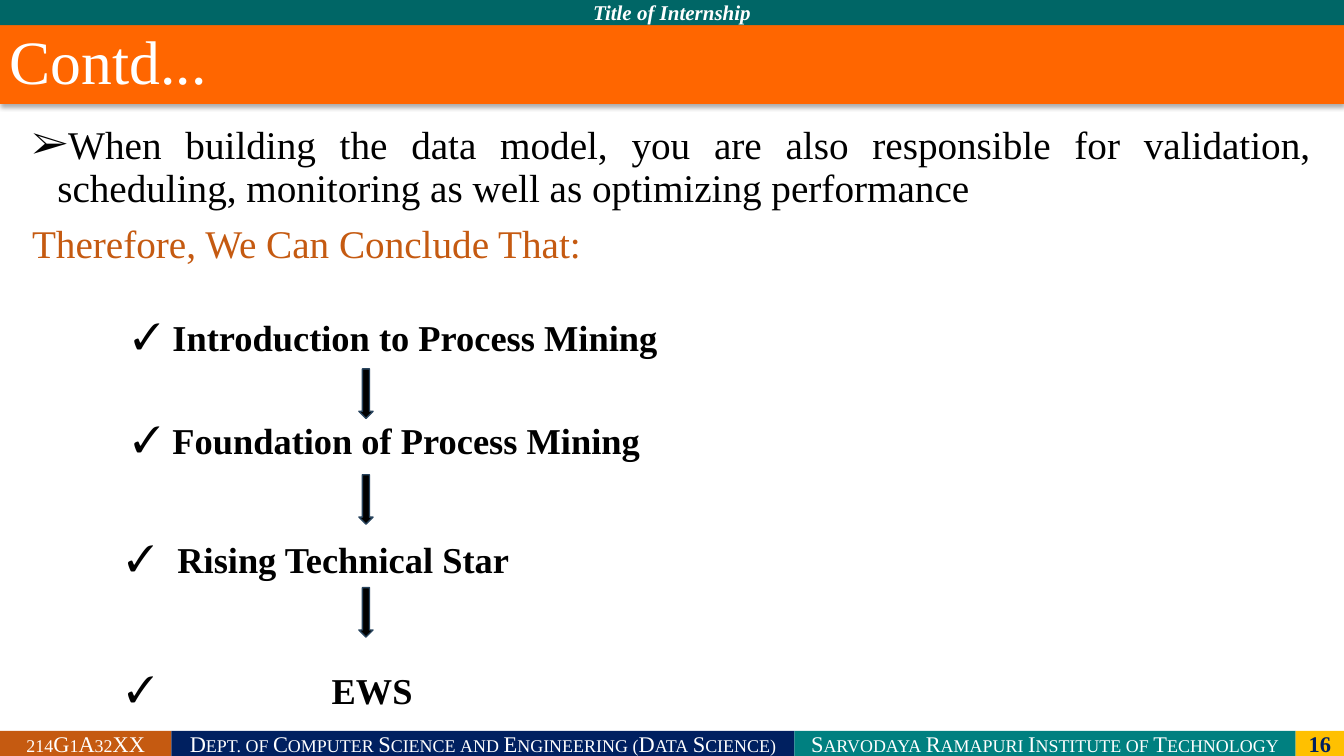
"""Build the concluding slide of an internship deck."""
from lxml.etree import SubElement as Sub
from pptx import Presentation
from pptx.dml.color import RGBColor as Rgb
from pptx.enum.shapes import MSO_SHAPE as Kind
from pptx.enum.text import MSO_ANCHOR as Anchor, PP_ALIGN as Align
from pptx.oxml.ns import qn
from pptx.util import Inches, Pt

HUES = {
    "white": "FFFFFF", "black": "000000", "teal": "008080", "pine": "006666",
    "navy": "002060", "gold": "FFC000", "rust": "C55A11", "orange": "FF6600",
    "edge": "28445D",
}
FONT = "Times New Roman"
TICK, POINT = "✓", "➢"


def hue(name):
    """Return the colour called name."""
    return Rgb.from_string(HUES[name])


def add_text(frame, text, size=26, color="black", bold=False, italic=False,
             small=False, align=Align.LEFT, mark=None, hang=0, lead=1, gap=0,
             more=False):
    """Write one paragraph with its format into a text frame."""
    para = frame.add_paragraph() if more else frame.paragraphs[0]
    para.alignment, para.line_spacing = align, lead
    para.space_before = Pt(gap)
    run = para.add_run()
    run.text = text
    font = run.font
    font.name, font.size = FONT, Pt(size)
    font.bold, font.italic = bold, italic
    font.color.rgb = hue(color)
    if small:
        run._r.get_or_add_rPr().set("cap", "small")
    if mark:
        props = para._p.get_or_add_pPr()
        props.set("marL", str(Inches(hang)))
        props.set("indent", str(-Inches(hang)))
        Sub(props, qn("a:buFont"), typeface=FONT)
        Sub(props, qn("a:buChar"), char=mark)


def set_frame(shape, pad=0, anchor=Anchor.MIDDLE):
    """Set wrapping, margins and anchor, and return the text frame."""
    frame = shape.text_frame
    frame.word_wrap, frame.vertical_anchor = True, anchor
    frame.margin_left = frame.margin_right = Inches(pad)
    frame.margin_top = frame.margin_bottom = Inches(pad / 2)
    return frame


def add_box(slide, box, pad=0, anchor=Anchor.MIDDLE):
    """Add a text box and return its frame."""
    return set_frame(slide.shapes.add_textbox(*map(Inches, box)), pad, anchor)


def add_block(slide, box, fill, kind=Kind.RECTANGLE, edge=None):
    """Add a flat filled shape."""
    shape = slide.shapes.add_shape(kind, *map(Inches, box))
    shape.shadow.inherit = False
    shape.fill.solid()
    shape.fill.fore_color.rgb = hue(fill)
    if edge:
        shape.line.color.rgb = hue(edge)
        shape.line.width = Pt(1)
    else:
        shape.line.fill.background()
    return shape


def add_head(slide, box):
    """Place the deck strip and the shaded title bar."""
    left, top, width, height = box
    strip = 0.25
    bar = add_block(slide, (left, top + strip, width, height - strip), "orange")
    add_text(set_frame(bar, 0.1), "Contd...", size=44, color="white", lead=0.9)
    glow = Sub(bar._element.spPr.find(qn("a:effectLst")), qn("a:outerShdw"),
               blurRad=str(Pt(3.5)), dist=str(Pt(2.2)), dir="5400000",
               rotWithShape="0")
    tone = Sub(glow, qn("a:srgbClr"), val=HUES["black"])
    Sub(tone, qn("a:alpha"), val="32000")
    band = add_block(slide, (left, top, width, strip), "pine")
    add_text(set_frame(band), "Title of Internship", size=15, color="white",
             bold=True, italic=True, align=Align.CENTER)


def add_intro(slide, box):
    """Place the opening point and the lead-in to the steps."""
    frame = add_box(slide, box, 0.1, Anchor.TOP)
    add_text(frame, "When building the data model, you are also responsible for "
             "validation, scheduling, monitoring as well as optimizing "
             "performance", size=28, align=Align.JUSTIFY, mark=POINT, hang=0.25,
             lead=0.9)
    add_text(frame, "Therefore, We Can Conclude That:", size=28, color="rust",
             lead=0.9, gap=10, more=True)


def add_steps(slide, box):
    """Place the ticked steps and the arrows between them."""
    left, top, width, height = box
    steps = [
        ("Introduction to Process Mining", 0.06, 0, 0.39),
        ("Foundation of Process Mining", 0.06, 1.02, 0.39),
        ("Rising Technical Star", 0, 2.2, 0.5),
        ("EWS", 0, 3.5, 2.03),
    ]
    tall = 0.45
    for text, shift, drop, hang in steps:
        frame = add_box(slide, (left + shift, top + drop, width - shift, tall))
        add_text(frame, text, bold=True, mark=TICK, hang=hang)
    for drop in (0.54, 1.59, 2.71):
        add_block(slide, (left + 2.3, top + drop, 0.14, 0.49), "black",
                  Kind.DOWN_ARROW, "edge")


def add_foot(slide, box):
    """Place the footer cells side by side."""
    left, top, width, height = box
    cells = [
        ("214G1A32XX", 1.7, "rust", "white"),
        ("Dept. of Computer Science and Engineering (Data Science)", 6.18,
         "navy", "white"),
        ("Sarvodaya Ramapuri Institute of Technology", 4.97, "teal", "white"),
        ("16", 0.48, "gold", "navy"),
    ]
    for text, wide, fill, color in cells:
        cell = add_block(slide, (left, top, wide, height), fill)
        page = fill == "gold"
        add_text(set_frame(cell), text, size=16, color=color, bold=page,
                 small=not page, align=Align.CENTER)
        left += wide


def main():
    """Build and save the slide."""
    deck = Presentation()
    deck.slide_width, deck.slide_height = Inches(13.33), Inches(7.5)
    slide = deck.slides.add_slide(deck.slide_layouts[6])
    add_foot(slide, (0, 7.25, 13.33, 0.25))
    add_head(slide, (0, 0, 13.33, 1.03))
    add_intro(slide, (0.22, 1.2, 12.88, 1.5))
    add_steps(slide, (1.26, 3.12, 5.5, 3.95))
    deck.save("out.pptx")


main()
